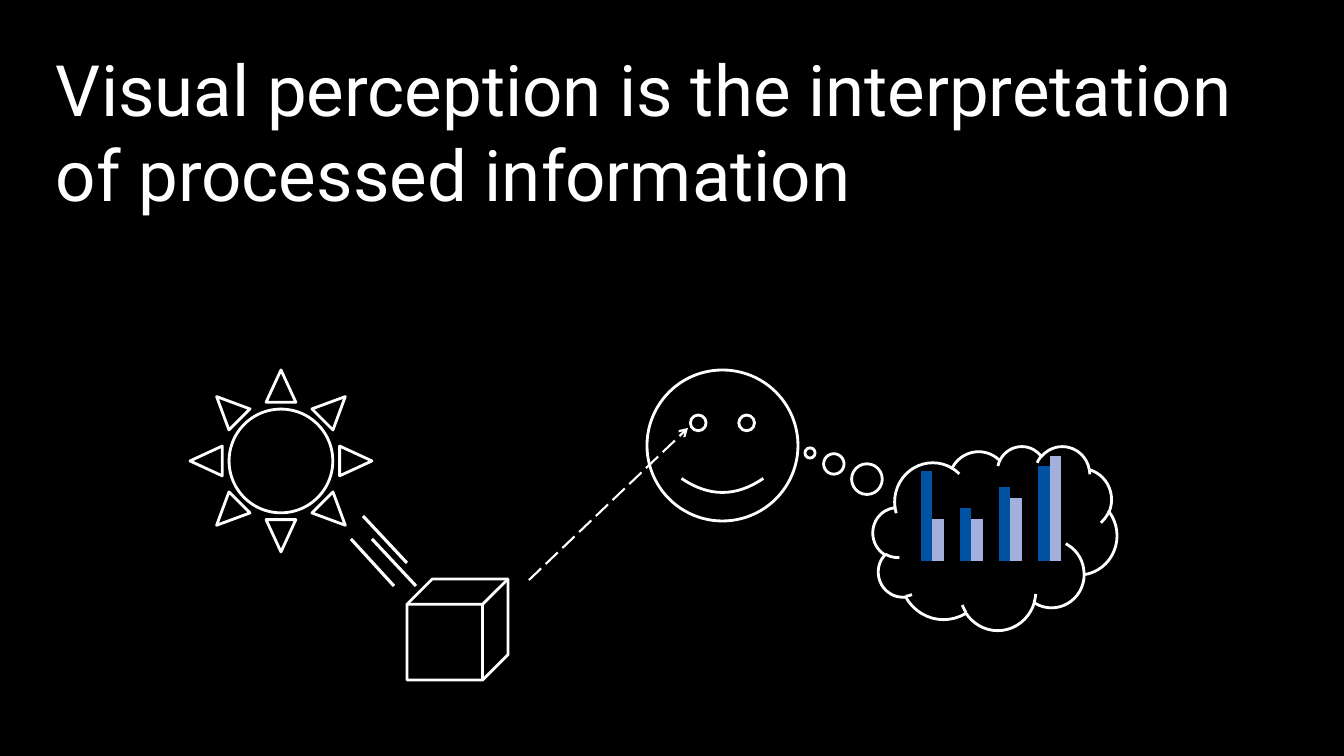
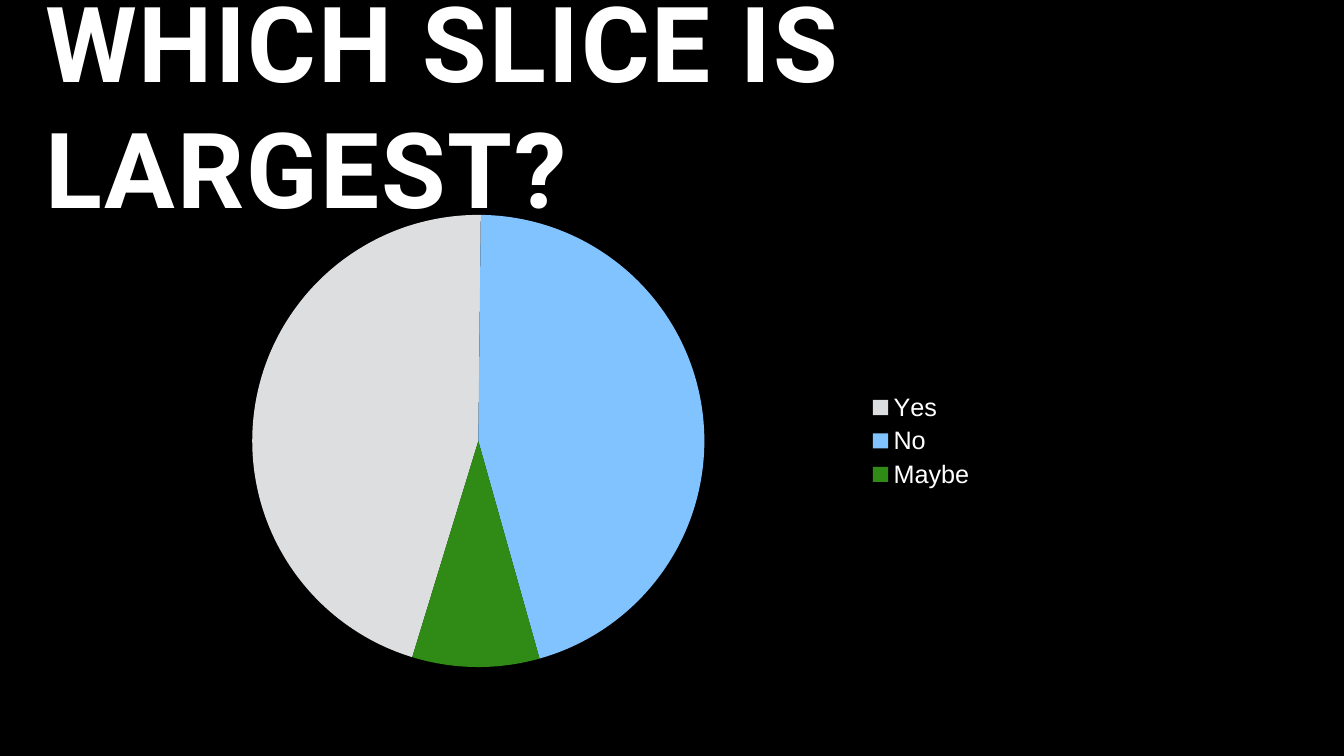
"""Build two dark slides on visual perception and reading a pie chart."""
from typing import NamedTuple

from lxml.etree import SubElement
from pptx import Presentation
from pptx.chart.chart import Chart
from pptx.chart.data import CategoryChartData
from pptx.dml.color import RGBColor
from pptx.dml.fill import FillFormat
from pptx.enum.chart import XL_CHART_TYPE, XL_LEGEND_POSITION
from pptx.enum.dml import MSO_LINE
from pptx.enum.shapes import MSO_CONNECTOR, MSO_SHAPE
from pptx.enum.text import MSO_ANCHOR, MSO_AUTO_SIZE, PP_ALIGN
from pptx.oxml import parse_xml
from pptx.oxml.ns import nsdecls, qn
from pptx.slide import Slide
from pptx.util import Emu, Pt

WIDTH, HEIGHT = 1344, 756
SCALE = 12192000 / WIDTH
BLACK, WHITE = "000000", "FFFFFF"
TITLE_FONT, CHART_FONT = "Roboto", "Arial"
BAR_COLORS = ("0053A3", "A3B0DC")
SLICE_COLORS = ("DCDEE0", "80C3FF", "308B16")
TITLE_ONLY = 5
INSET = 6


class Box(NamedTuple):
    """A rectangle in px."""

    left: int
    top: int
    width: int
    height: int


class Figure(NamedTuple):
    """An outlined preset shape."""

    kind: MSO_SHAPE
    box: Box
    adjustments: tuple[float, ...] = ()


class Ray(NamedTuple):
    """A straight line, dashed with an arrowhead when it is a gaze."""

    start: tuple[int, int]
    end: tuple[int, int]
    width: float = 2.25
    gaze: bool = False


FIGURES = (
    Figure(MSO_SHAPE.CUBE, Box(407, 579, 101, 101)),
    Figure(MSO_SHAPE.SUN, Box(190, 370, 182, 182), (0.215,)),
    Figure(MSO_SHAPE.SMILEY_FACE, Box(647, 370, 151, 151)),
    Figure(MSO_SHAPE.CLOUD_CALLOUT, Box(873, 446, 244, 184), (-0.758, -0.462)),
)
RAYS = (
    Ray((363, 516), (407, 563)),
    Ray((351, 539), (394, 586)),
    Ray((372, 539), (416, 586)),
    Ray((529, 580), (688, 428), 1.5, True),
)


def px(length: int) -> Emu:
    """Turn px into EMU."""
    return Emu(round(length * SCALE))


def color(value: str) -> RGBColor:
    """Turn a hex string into a colour."""
    return RGBColor.from_string(value)


def paint(fill: FillFormat, value: str) -> None:
    """Give a fill one solid colour."""
    fill.solid()
    fill.fore_color.rgb = color(value)


def add_title(slide: Slide, text: str, box: Box, size: float,
              anchor: MSO_ANCHOR, bold: bool = False, spacing: int = 0) -> None:
    """Place and format the title placeholder."""
    title = slide.shapes.title
    title.left, title.top, title.width, title.height = map(px, box)
    frame = title.text_frame
    frame.word_wrap = True
    frame.auto_size = MSO_AUTO_SIZE.NONE
    frame.vertical_anchor = anchor
    frame.margin_left = frame.margin_right = px(INSET)
    frame.margin_top = frame.margin_bottom = px(INSET)
    paragraph = frame.paragraphs[0]
    paragraph.alignment = PP_ALIGN.LEFT
    run = paragraph.add_run()
    run.text = text
    run.font.name = TITLE_FONT
    run.font.size = Pt(size)
    run.font.bold = bold
    run.font.color.rgb = color(WHITE)
    if spacing:
        run.font._element.set("spc", str(spacing))


def add_figure(slide: Slide, figure: Figure) -> None:
    """Draw one outlined shape."""
    shape = slide.shapes.add_shape(figure.kind, *map(px, figure.box))
    shape.shadow.inherit = False
    shape.fill.background()
    shape.line.color.rgb = color(WHITE)
    shape.line.width = Pt(2)
    for index, value in enumerate(figure.adjustments):
        shape.adjustments[index] = value


def add_ray(slide: Slide, ray: Ray) -> None:
    """Draw one line of light or sight."""
    connector = slide.shapes.add_connector(
        MSO_CONNECTOR.STRAIGHT, *map(px, ray.start + ray.end))
    connector.line.color.rgb = color(WHITE)
    connector.line.width = Pt(ray.width)
    if ray.gaze:
        connector.line.dash_style = MSO_LINE.LONG_DASH
        outline = connector.line._get_or_add_ln()
        SubElement(outline, qn("a:tailEnd"), type="arrow")
    SubElement(connector._element.spPr, qn("a:effectLst"))


def add_chart(slide: Slide, kind: XL_CHART_TYPE, box: Box,
              categories: tuple[str, ...], rows: tuple[tuple[int, ...], ...]) -> Chart:
    """Add a chart in the shared text style."""
    data = CategoryChartData()
    data.categories = categories
    for number, values in enumerate(rows, 1):
        data.add_series(f"Series {number}", values)
    chart = slide.shapes.add_chart(kind, *map(px, box), data).chart
    chart.has_title = False
    chart.has_legend = False
    chart.font.name = CHART_FONT
    chart.font.size = Pt(18)
    chart.font.color.rgb = color(WHITE)
    return chart


def set_plot_area(chart: Chart, left: float, top: float,
                  width: float, height: float) -> None:
    """Fix the inner plot area as fractions of the chart."""
    area = chart._chartSpace.chart.plotArea
    for layout in area.findall(qn("c:layout")):
        area.remove(layout)
    values = (("layoutTarget", "inner"), ("xMode", "edge"), ("yMode", "edge"),
              ("x", left), ("y", top), ("w", width), ("h", height))
    items = "".join(f'<c:{tag} val="{value}"/>' for tag, value in values)
    area.insert(0, parse_xml(
        f'<c:layout {nsdecls("c")}><c:manualLayout>{items}</c:manualLayout></c:layout>'))


def build_perception(slide: Slide) -> None:
    """Show light, object, viewer and the resulting thought."""
    add_title(slide, "Visual perception is the interpretation of processed information",
              Box(50, 40, 1263, 487), 50.6, MSO_ANCHOR.TOP)
    for figure in FIGURES:
        add_figure(slide, figure)
    for ray in RAYS:
        add_ray(slide, ray)
    chart = add_chart(slide, XL_CHART_TYPE.COLUMN_CLUSTERED, Box(893, 435, 198, 137),
                      ("1", "2", "3", "4"), ((86, 50, 70, 90), (40, 40, 60, 100)))
    set_plot_area(chart, 0.1, 0, 0.79, 0.92)
    chart.value_axis.has_major_gridlines = False
    chart.value_axis.minimum_scale = 0
    chart.value_axis.maximum_scale = 120
    chart.value_axis.visible = False
    chart.category_axis.visible = False
    plot = chart.plots[0]
    plot.vary_by_categories = False
    plot.gap_width = 150
    plot.overlap = 0
    for series, value in zip(plot.series, BAR_COLORS):
        paint(series.format.fill, value)


def build_question(slide: Slide) -> None:
    """Ask which slice of the pie is largest."""
    add_title(slide, "WHICH SLICE IS LARGEST?", Box(39, 20, 1263, 167), 75,
              MSO_ANCHOR.MIDDLE, bold=True, spacing=150)
    chart = add_chart(slide, XL_CHART_TYPE.PIE, Box(92, 201, 894, 480),
                      ("Yes", "No", "Maybe"), ((45, 45, 9),))
    chart.has_legend = True
    chart.legend.position = XL_LEGEND_POSITION.RIGHT
    chart.legend.include_in_layout = False
    plot = chart.plots[0]
    plot.vary_by_categories = True
    SubElement(plot._element, qn("c:firstSliceAng"), val="197")
    for index, value in enumerate(SLICE_COLORS):
        paint(plot.series[0].points[index].format.fill, value)


def main() -> None:
    """Build and save the presentation."""
    presentation = Presentation()
    presentation.slide_width, presentation.slide_height = px(WIDTH), px(HEIGHT)
    paint(presentation.slide_master.background.fill, BLACK)
    for build in (build_perception, build_question):
        build(presentation.slides.add_slide(presentation.slide_layouts[TITLE_ONLY]))
    presentation.save("out.pptx")


if __name__ == "__main__":
    main()
